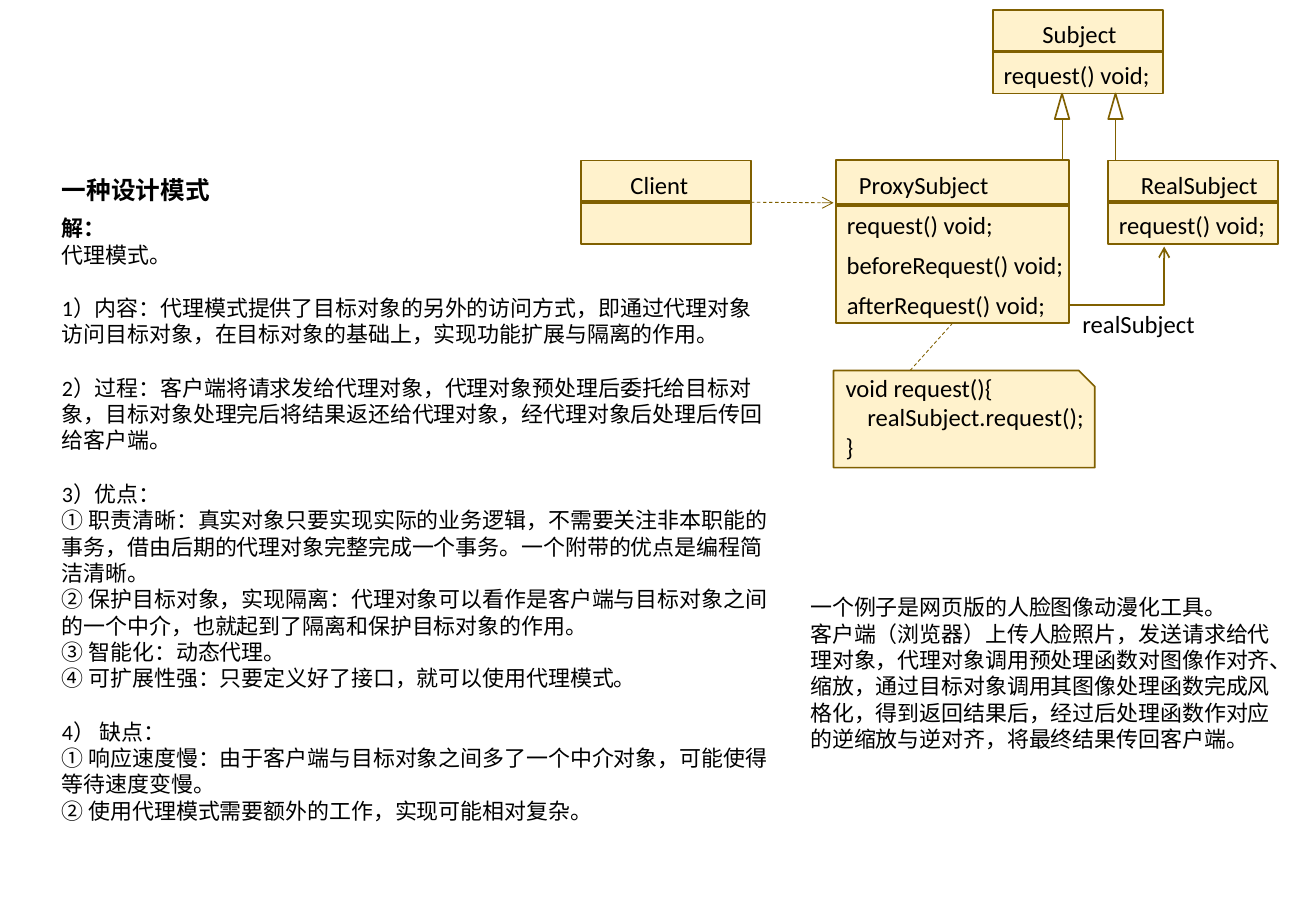
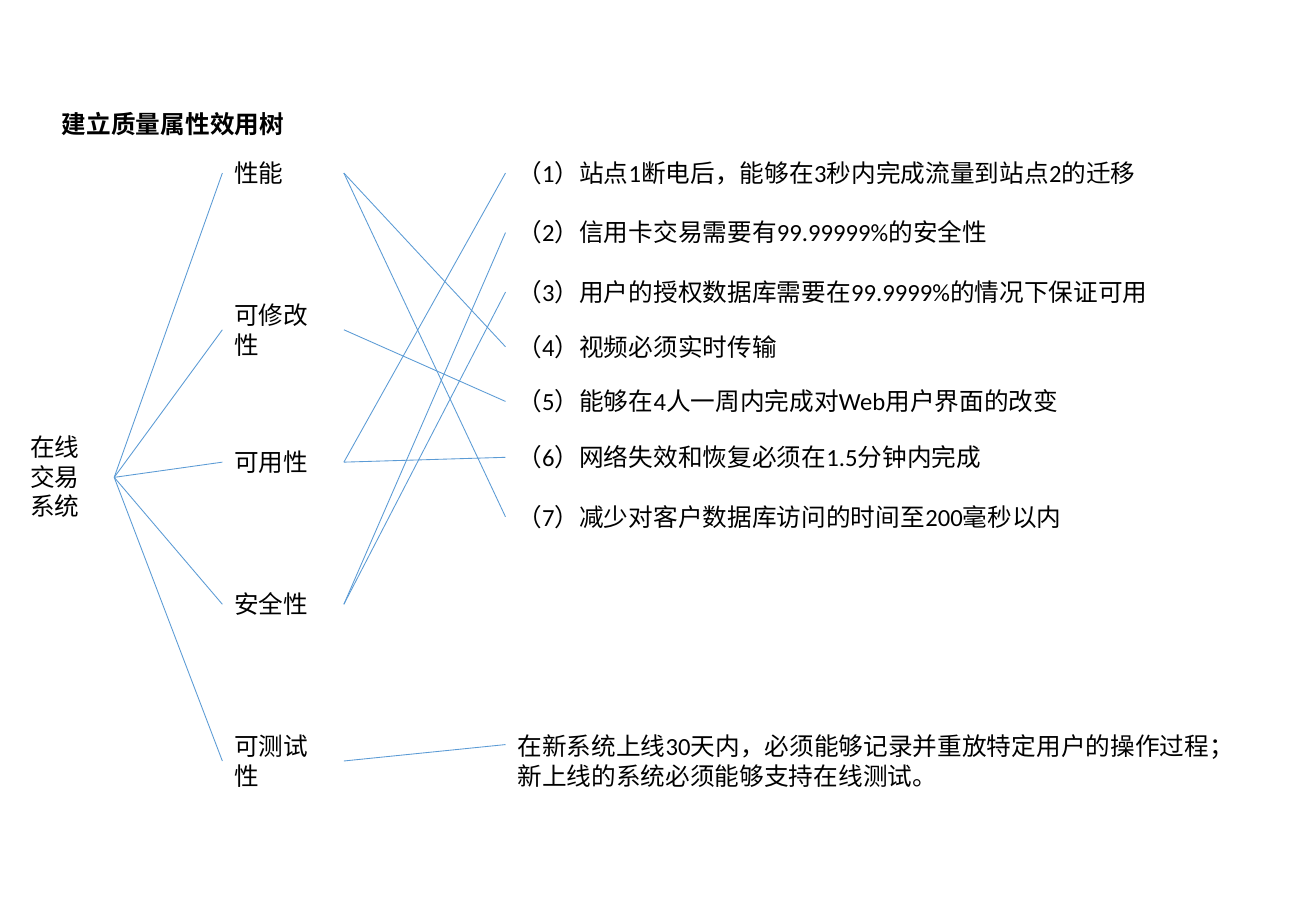
from pptx import Presentation
from pptx.dml.color import RGBColor
from pptx.enum.dml import MSO_LINE
from pptx.enum.shapes import MSO_CONNECTOR, MSO_SHAPE
from pptx.enum.text import MSO_ANCHOR, MSO_AUTO_SIZE, PP_ALIGN
from pptx.oxml.ns import qn
from pptx.util import Pt
from lxml import etree

PX = 9144
RECT = MSO_SHAPE.RECTANGLE
SNIP = MSO_SHAPE.SNIP_1_RECTANGLE
CONE = MSO_SHAPE.ISOSCELES_TRIANGLE
LINE = MSO_CONNECTOR.STRAIGHT
DASH = MSO_LINE.DASH
LEFT = PP_ALIGN.LEFT
TOP = MSO_ANCHOR.TOP
FIXED = MSO_AUTO_SIZE.NONE
FONT = "Calibri"
BIG, SMALL, GAP = 14.6, 13, 16
COLORS = {"text": "000000", "cream": "FFF2CC", "white": "FFFFFF",
          "brown": "806000", "blue": "5B9BD5"}

ANSWER = [
    "解：",
    "代理模式。",
    "1）内容：代理模式提供了目标对象的另外的访问方式，即通过代理对象访问目标对象，在目标对象的基础上，实现功能扩展与隔离的作用。",
    "2）过程：客户端将请求发给代理对象，代理对象预处理后委托给目标对象，目标对象处理完后将结果返还给代理对象，经代理对象后处理后传回给客户端。",
    "3）优点：",
    "① 职责清晰：真实对象只要实现实际的业务逻辑，不需要关注非本职能的事务，借由后期的代理对象完整完成一个事务。一个附带的优点是编程简洁清晰。",
    "② 保护目标对象，实现隔离：代理对象可以看作是客户端与目标对象之间的一个中介，也就起到了隔离和保护目标对象的作用。",
    "③ 智能化：动态代理。",
    "④ 可扩展性强：只要定义好了接口，就可以使用代理模式。",
    "4） 缺点：",
    "① 响应速度慢：由于客户端与目标对象之间多了一个中介对象，可能使得等待速度变慢。",
    "② 使用代理模式需要额外的工作，实现可能相对复杂。",
]
SAMPLE = [
    "一个例子是网页版的人脸图像动漫化工具。",
    "客户端（浏览器）上传人脸照片，发送请求给代理对象，代理对象调用预处理函数对图像作对齐、缩放，通过目标对象调用其图像处理函数完成风格化，得到返回结果后，经过后处理函数作对应的逆缩放与逆对齐，将最终结果传回客户端。",
]
TRAITS = [("性能", 125, 35, (4, 7)), ("可修改性", 242, 59, (5,)),
          ("可用性", 363, 35, (1, 6)), ("安全性", 480, 35, (2, 3)),
          ("可测试性", 597, 59, ())]
CASES = [("（1）站点1断电后，能够在3秒内完成流量到站点2的迁移", 125, 533),
         ("（2）信用卡交易需要有99.99999%的安全性", 174, 410),
         ("（3）用户的授权数据库需要在99.9999%的情况下保证可用", 223, 543),
         ("（4）视频必须实时传输", 268, 236),
         ("（5）能够在4人一周内完成对Web用户界面的改变", 313, 469),
         ("（6）网络失效和恢复必须在1.5分钟内完成", 359, 405),
         ("（7）减少对客户数据库访问的时间至200毫秒以内", 408, 472)]
TESTS = ["在新系统上线30天内，必须能够记录并重放特定用户的操作过程；",
         "新上线的系统必须能够支持在线测试。"]


def emu(*nums):
    """Turn px lengths into EMU."""
    return [n * PX for n in nums]


def tint(name):
    """Look up a colour by name."""
    return RGBColor.from_string(COLORS[name])


def write(frame, lines, size=BIG, bold=False, wrap=True):
    """Fill a text frame with plain left-aligned paragraphs."""
    frame.text = "\n".join(lines)
    frame.word_wrap = wrap
    frame.auto_size = FIXED
    frame.vertical_anchor = TOP
    for para in frame.paragraphs:
        para.alignment = LEFT
        para.space_before = Pt(0)
        for run in para.runs:
            font = run.font
            font.name, font.size, font.bold = FONT, Pt(size), bold
            font.color.rgb = tint("text")


def label(slide, lines, box, size=BIG, wrap=True):
    """Add a text box."""
    shape = slide.shapes.add_textbox(*emu(*box))
    write(shape.text_frame, lines, size, wrap=wrap)
    return shape


def head(slide, text, box):
    """Place the slide title."""
    title = slide.shapes.title
    title.left, title.top, title.width, title.height = emu(*box)
    write(title.text_frame, [text], bold=True, wrap=False)


def body(slide, lines, box):
    """Place the answer in the body placeholder, with gaps between parts."""
    shape = slide.placeholders[1]
    shape.left, shape.top, shape.width, shape.height = emu(*box)
    write(shape.text_frame, lines, SMALL)
    for para in shape.text_frame.paragraphs:
        props = para._p.get_or_add_pPr()
        props.set("marL", "0")
        props.set("indent", "0")
        if para.text[0] in "1234":
            para.space_before = Pt(GAP)
        etree.SubElement(props, qn("a:buNone"))
    shape.text_frame.paragraphs[0].runs[0].font.bold = True


def stroke(line, color, width, dash=False, arrow=False):
    """Style an outline, with an optional dash and arrowhead."""
    line.color.rgb = tint(color)
    line.width = Pt(width)
    if dash:
        line.dash_style = DASH
    if arrow:
        etree.SubElement(line._get_or_add_ln(), qn("a:tailEnd"), type="arrow")


def block(slide, kind, box, fill="cream"):
    """Add a filled diagram shape."""
    shape = slide.shapes.add_shape(kind, *emu(*box))
    shape.shadow.inherit = False
    shape.fill.solid()
    shape.fill.fore_color.rgb = tint(fill)
    stroke(shape.line, "brown", 1)
    return shape


def link(slide, start, end, color="brown", width=0.5, **style):
    """Draw a line between px points or (shape, side) joints."""
    line = slide.shapes.add_connector(LINE, 0, 0, 0, 0)
    if isinstance(start[0], int):
        line.begin_x, line.begin_y = emu(*start)
    else:
        line.begin_connect(*start)
    if isinstance(end[0], int):
        line.end_x, line.end_y = emu(*end)
    else:
        line.end_connect(*end)
    stroke(line.line, color, width, **style)
    etree.SubElement(line._element.spPr, qn("a:effectLst"))


def klass(slide, box, name, rows=(), split=0):
    """Draw a class box; name is (text, indent, width), rows (text, width)."""
    x, y, w, h = box
    shape = block(slide, RECT, box)
    if split:
        link(slide, (x, y + split), (x + w, y + split), width=2.25)
    else:
        link(slide, (shape, 1), (shape, 3), width=2.25)
    text, inset, wide = name
    label(slide, [text], (x + inset, y + 3, wide, 35), wrap=False)
    for i, (text, wide) in enumerate(rows):
        label(slide, [text], (x - 1, y + 36 + 33 * i, wide, 35), wrap=False)
    return shape


def note(slide, box, lines):
    """Draw a code note whose middle line is indented."""
    x, y, w, h = box
    block(slide, SNIP, box)
    code = label(slide, lines, (x, y - 3, w + 3, h + 4), wrap=False)
    props = code.text_frame.paragraphs[1]._p.get_or_add_pPr()
    props.set("marL", str(18 * PX))
    props.set("indent", "0")


def diagram(slide, x, y):
    """Draw the proxy class diagram from its top left corner."""
    call = ("request() void;", 141)
    row = y + 124
    klass(slide, (x + 339, y, 140, 69), ("Subject", 31, 82), [call])
    proxy = klass(slide, (x + 210, row, 192, 134), ("ProxySubject", 9, 128),
                  [call, ("beforeRequest() void;", 200),
                   ("afterRequest() void;", 185)], split=37)
    klass(slide, (x + 434, row, 140, 69), ("RealSubject", 17, 117), [call])
    client = klass(slide, (x, row, 140, 69), ("Client", 31, 68))
    for mid in (x + 396, x + 440):
        block(slide, CONE, (mid - 6, y + 69, 12, 21), "white")
        link(slide, (mid, y + 90), (mid, row))
    path = slide.shapes.build_freeform(x + 401, y + 243, scale=PX)
    path.add_line_segments([(x + 480, y + 243), (x + 480, y + 195)],
                           close=False)
    bend = path.convert_to_shape()
    bend.shadow.inherit = False
    bend.fill.background()
    stroke(bend.line, "brown", 1, arrow=True)
    label(slide, ["realSubject"], (x + 403, y + 241, 113, 35), wrap=False)
    link(slide, (client, 3), (x + 208, y + 159), dash=True, arrow=True)
    note(slide, (x + 208, y + 297, 215, 80),
         ["void request(){", "realSubject.request();", "}"])
    link(slide, (x + 271, y + 297), (proxy, 2), dash=True)


def tree(slide, x, y):
    """Draw the utility tree from its left edge and top row."""
    root = label(slide, ["在线交易系统"], (x, y + 226, 79, 84))
    cases = [label(slide, [text], (x + 401, y + top - 125, wide, 35))
             for text, top, wide in CASES]
    for text, top, high, picks in TRAITS:
        trait = label(slide, [text], (x + 168, y + top - 125, 100, high))
        link(slide, (root, 3), (trait, 1), "blue")
        for pick in picks:
            link(slide, (trait, 3), (cases[pick - 1], 1), "blue")
    label(slide, TESTS, (x + 401, y + 472, 615, 59), wrap=False)
    link(slide, (trait, 3), (x + 401, y + 488), "blue")


def main():
    """Build and save both slides."""
    deck = Presentation()
    deck.slide_width, deck.slide_height = emu(1083, 750)
    slide = deck.slides.add_slide(deck.slide_layouts[1])
    head(slide, "一种设计模式", (41, 139, 143, 35))
    body(slide, ANSWER, (41, 172, 604, 513))
    diagram(slide, 478, 8)
    label(slide, SAMPLE, (657, 484, 413, 141), SMALL)
    slide = deck.slides.add_slide(deck.slide_layouts[5])
    head(slide, "建立质量属性效用树", (41, 85, 205, 35))
    tree(slide, 15, 125)
    deck.save("out.pptx")


if __name__ == "__main__":
    main()
